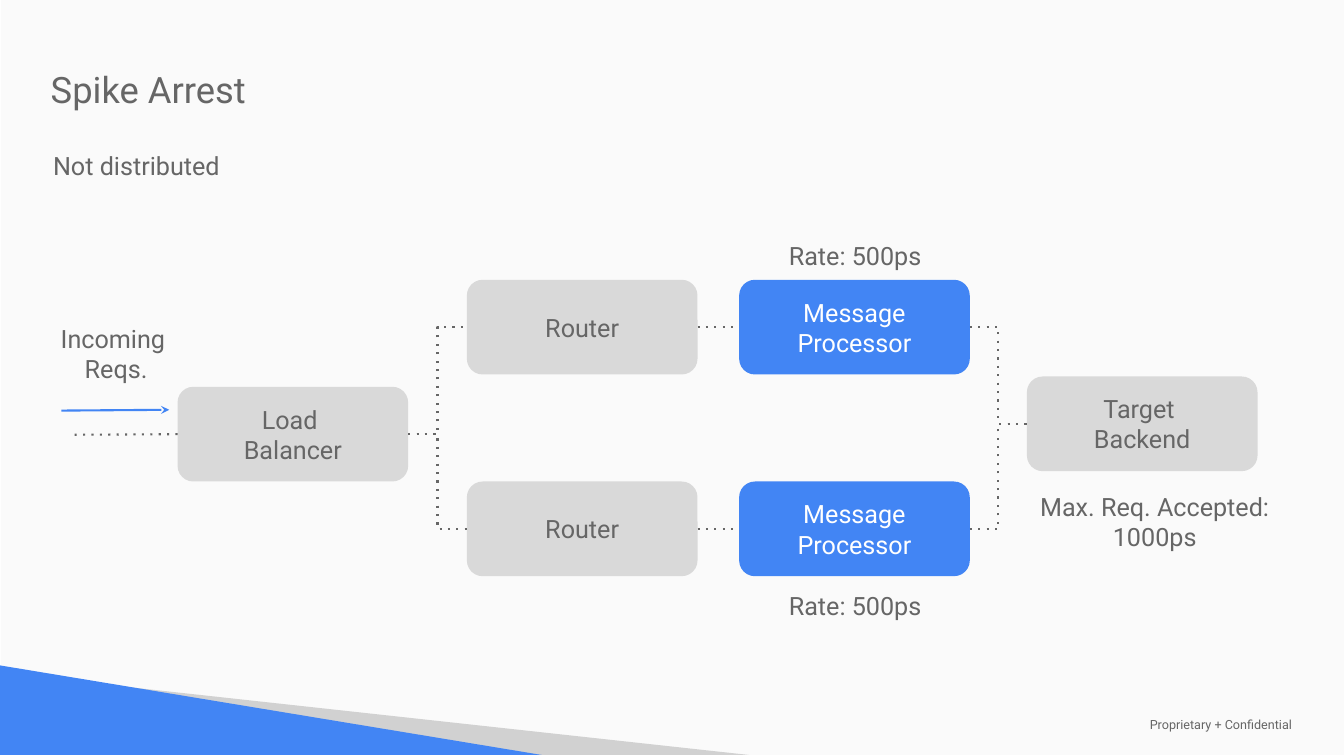
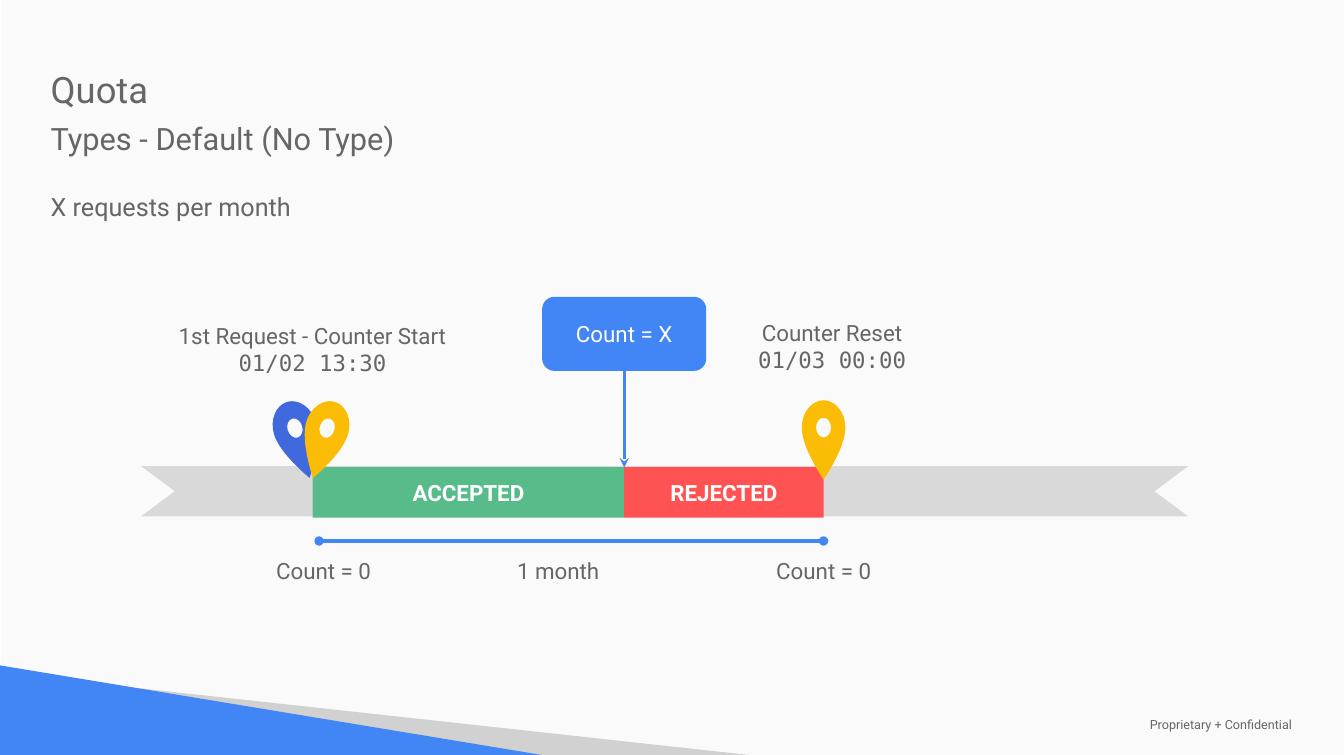
"""Build two slides on API traffic control: spike arrest and quota."""
from dataclasses import dataclass
from typing import Optional

import pptx
import pptx.dml.color
import pptx.enum.shapes
import pptx.enum.text
import pptx.shapes.autoshape
import pptx.shapes.connector
import pptx.slide
import pptx.text.text
import pptx.util
from lxml import etree
from pptx.oxml import ns

Cm = pptx.util.Cm
Pt = pptx.util.Pt
SHAPES = pptx.enum.shapes.MSO_SHAPE
CONNECTORS = pptx.enum.shapes.MSO_CONNECTOR
ALIGN = pptx.enum.text.PP_ALIGN
ANCHOR = pptx.enum.text.MSO_ANCHOR

COLORS = {
    "page": "FAFAFA",
    "text": "666666",
    "white": "FFFFFF",
    "blue": "4285F4",
    "shade": "D1D1D1",
    "grey": "D9D9D9",
    "red": "FF5252",
    "green": "57BB8A",
    "yellow": "FBBC05",
    "indigo": "4069DD",
}
FONT, MONO = "Roboto", "DejaVu Sans Mono"
WIDTH, HEIGHT = 33.91, 19.05
INSET = 0.25
TOP, LEFT, BOTTOM, RIGHT = range(4)

PIN_WIDTH, PIN_HEIGHT = 1.1, 2
PIN_BODY = [(0.55, 0), (0.25, 0), (0, 0.31), (0, 0.69), (0, 1.21), (0.55, 2), (0.55, 2),
            (0.55, 2), (1.1, 1.21), (1.1, 0.69), (1.1, 0.31), (0.85, 0), (0.55, 0)]
PIN_HOLE = [(0.55, 0.94), (0.45, 0.94), (0.36, 0.83), (0.36, 0.69), (0.36, 0.55), (0.45, 0.44),
            (0.55, 0.44), (0.65, 0.44), (0.74, 0.55), (0.74, 0.69), (0.74, 0.83), (0.65, 0.94),
            (0.55, 0.94)]


@dataclass(frozen=True)
class Box:
    x: float
    y: float
    w: float
    h: float

    def emu(self) -> tuple[int, int, int, int]:
        return Cm(self.x), Cm(self.y), Cm(self.w), Cm(self.h)


@dataclass(frozen=True)
class Label:
    text: str
    box: Box
    size: float = 18
    align: ALIGN = ALIGN.CENTER
    anchor: ANCHOR = ANCHOR.TOP


@dataclass(frozen=True)
class Block:
    text: str
    box: Box
    fill: str
    kind: SHAPES = SHAPES.ROUNDED_RECTANGLE
    size: float = 18
    color: str = "white"
    bold: bool = False


@dataclass(frozen=True)
class Pin:
    center: float
    fill: str
    rotation: float = 0


def rgb(name: str) -> pptx.dml.color.RGBColor:
    return pptx.dml.color.RGBColor.from_string(COLORS[name])


def style_text(frame: pptx.text.text.TextFrame, text: str, size: float, color: str = "text",
               align: ALIGN = ALIGN.LEFT, anchor: ANCHOR = ANCHOR.TOP, bold: bool = False) -> None:
    frame.text = text
    frame.word_wrap = True
    frame.auto_size = pptx.enum.text.MSO_AUTO_SIZE.NONE
    frame.vertical_anchor = anchor
    frame.margin_left = frame.margin_right = Cm(INSET)
    frame.margin_top = frame.margin_bottom = Cm(INSET)
    for paragraph in frame.paragraphs:
        paragraph.alignment = align
        for run in paragraph.runs:
            run.font.name = FONT
            run.font.size = Pt(size)
            run.font.bold = bold
            run.font.color.rgb = rgb(color)


def paint(shape: pptx.shapes.autoshape.Shape, fill: str) -> None:
    shape.shadow.inherit = False
    shape.fill.solid()
    shape.fill.fore_color.rgb = rgb(fill)
    shape.line.fill.background()


def add_label(slide: pptx.slide.Slide, label: Label) -> pptx.shapes.autoshape.Shape:
    shape = slide.shapes.add_textbox(*label.box.emu())
    style_text(shape.text_frame, label.text, label.size, align=label.align, anchor=label.anchor)
    return shape


def add_block(slide: pptx.slide.Slide, block: Block) -> pptx.shapes.autoshape.Shape:
    shape = slide.shapes.add_shape(block.kind, *block.box.emu())
    paint(shape, block.fill)
    if block.text:
        style_text(shape.text_frame, block.text, block.size, block.color,
                   ALIGN.CENTER, ANCHOR.MIDDLE, block.bold)
    return shape


def add_outline(slide: pptx.slide.Slide, corners: list[tuple[float, float]],
                fill: str) -> pptx.shapes.autoshape.Shape:
    points = [(Cm(x), Cm(y)) for x, y in corners]
    builder = slide.shapes.build_freeform(*points[0], scale=1.0)
    builder.add_line_segments(points[1:], close=True)
    shape = builder.convert_to_shape()
    paint(shape, fill)
    return shape


def add_line(slide: pptx.slide.Slide, start: tuple[float, float] = (0, 0),
             end: tuple[float, float] = (0, 0), color: str = "text", width: float = 1.5,
             kind: CONNECTORS = CONNECTORS.STRAIGHT, dotted: bool = False,
             head: Optional[str] = None,
             tail: Optional[str] = None) -> pptx.shapes.connector.Connector:
    line = slide.shapes.add_connector(kind, *(Cm(value) for value in (*start, *end)))
    line.line.color.rgb = rgb(color)
    line.line.width = Pt(width)
    outline = line.line._get_or_add_ln()
    if dotted:
        etree.SubElement(outline, ns.qn("a:prstDash"), val="dot")
    for tag, arrow in (("a:headEnd", head), ("a:tailEnd", tail)):
        if arrow:
            etree.SubElement(outline, ns.qn(tag), type=arrow)
    etree.SubElement(line.element.spPr, ns.qn("a:effectLst"))
    return line


def add_pin(slide: pptx.slide.Slide, pin: Pin) -> None:
    left, top = pin.center - PIN_WIDTH / 2, 10.1
    right, bottom = left + PIN_WIDTH, top + PIN_HEIGHT
    shape = add_outline(slide, [(left, top), (right, top), (right, bottom), (left, bottom)],
                        pin.fill)
    shape.rotation = pin.rotation
    contour = shape.element.find(".//" + ns.qn("a:path"))
    for segment in list(contour):
        contour.remove(segment)
    for points in (PIN_BODY, PIN_HOLE):
        segments = [("a:moveTo", points[:1])]
        segments += [("a:cubicBezTo", points[i:i + 3]) for i in range(1, len(points), 3)]
        for tag, stops in segments + [("a:close", [])]:
            segment = etree.SubElement(contour, ns.qn(tag))
            for x, y in stops:
                etree.SubElement(segment, ns.qn("a:pt"), x=str(int(Cm(x))), y=str(int(Cm(y))))


def set_title(slide: pptx.slide.Slide, text: str, height: float) -> None:
    title = slide.shapes.title
    title.left, title.top, title.width, title.height = Box(1.03, 1.45, 18.36, height).emu()
    style_text(title.text_frame, text, 26)
    for subtitle in title.text_frame.paragraphs[1:]:
        subtitle.space_before = Pt(6)
        subtitle.runs[0].font.size = Pt(22)


def furnish_layout(layout: pptx.slide.SlideLayout, slide: pptx.slide.Slide) -> None:
    shared = [
        add_block(slide, Block("", Box(0.02, 0, WIDTH, HEIGHT), "page", SHAPES.RECTANGLE)),
        add_outline(slide, [(2.9, 17.3), (18.9, HEIGHT), (13.61, HEIGHT)], "shade"),
        add_outline(slide, [(0, 16.79), (0, HEIGHT), (13.67, HEIGHT)], "blue"),
        add_label(slide, Label("Proprietary + Confidential", Box(28.76, 18.06, 5, 0.46), 9,
                               ALIGN.LEFT, ANCHOR.MIDDLE)),
    ]
    for number, shape in enumerate(shared, 101):
        shape.element.nvSpPr.cNvPr.set("id", str(number))
        layout.shapes.element.append(shape.element)


def build_spike_arrest(slide: pptx.slide.Slide) -> None:
    set_title(slide, "Spike Arrest", 2.11)
    add_label(slide, Label("Not distributed", Box(1.09, 3.55, 18.26, 1.52), align=ALIGN.LEFT))

    def node(text: str, x: float, y: float, fill: str = "grey",
             color: str = "text") -> pptx.shapes.autoshape.Shape:
        return add_block(slide, Block(text, Box(x, y, 5.82, 2.39), fill, color=color))

    def join(source: pptx.shapes.autoshape.Shape, target: pptx.shapes.autoshape.Shape,
             kind: CONNECTORS = CONNECTORS.ELBOW) -> None:
        link = add_line(slide, kind=kind, dotted=True)
        link.begin_connect(source, RIGHT)
        link.end_connect(target, LEFT)

    balancer = node("Load \nBalancer", 4.48, 9.76)
    backend = node("Target \nBackend", 25.91, 9.5)
    for row_top, rate_top in ((7.06, 5.7), (12.15, 14.55)):
        router = node("Router", 11.78, row_top)
        processor = node("Message Processor", 18.65, row_top, "blue", "white")
        join(balancer, router)
        join(router, processor, CONNECTORS.STRAIGHT)
        join(processor, backend)
        add_label(slide, Label("Rate: 500ps", Box(17.93, rate_top, 7.29, 1.47),
                               anchor=ANCHOR.MIDDLE))

    add_label(slide, Label("Max. Req. Accepted: 1000ps", Box(24.92, 12.14, 8.43, 2.03)))
    add_label(slide, Label("Incoming \nReqs.", Box(1.09, 7.91, 3.68, 2.03)))
    inflow = add_line(slide, end=(1.78, 10.97), dotted=True)
    inflow.begin_connect(balancer, LEFT)
    add_line(slide, (4.27, 10.34), (1.55, 10.36), "blue", head="stealth")


def build_quota(slide: pptx.slide.Slide) -> None:
    set_title(slide, "Quota\nTypes - Default (No Type)", 2.84)
    add_label(slide, Label("X requests per month", Box(1.03, 4.57, 16.46, 1.27),
                           align=ALIGN.LEFT))

    start, limit, reset = 7.89, 15.75, 20.78
    for x, width, rotation in ((3.56, 10.46, 0), (12.02, 17.96, 180)):
        ribbon = add_block(slide, Block("", Box(x, 11.76, width, 1.27), "grey", SHAPES.CHEVRON))
        ribbon.adjustments[0] = 0.67
        ribbon.rotation = rotation
    for text, left, right, fill in (("ACCEPTED", start, limit, "green"),
                                    ("REJECTED", limit, reset, "red")):
        add_block(slide, Block(text, Box(left, 11.79, right - left, 1.27), fill,
                               SHAPES.RECTANGLE, 16, bold=True))

    counter = add_block(slide, Block("Count = X", Box(limit - 2.07, 7.49, 4.14, 1.87), "blue",
                                     size=16))
    pointer = add_line(slide, end=(limit, 11.79), color="blue", width=2.25, tail="stealth")
    pointer.begin_connect(counter, BOTTOM)
    add_line(slide, (8.05, 13.65), (reset, 13.65), "blue", 2.25, head="oval", tail="oval")

    for text, box in (("1st Request - Counter Start\n01/02 13:30", Box(3.96, 7.88, 7.85, 1.88)),
                      ("Counter Reset\n01/03 00:00", Box(18.06, 7.8, 5.87, 2.01))):
        event = add_label(slide, Label(text, box, 16))
        event.text_frame.paragraphs[1].runs[0].font.name = MONO
    for text, x, width in (("Count = 0", 6.36, 3.61), ("1 month", 11.43, 5.31),
                           ("Count = 0", 18.98, 3.61)):
        add_label(slide, Label(text, Box(x, 13.64, width, 1.52), 16, anchor=ANCHOR.MIDDLE))
    for pin in (Pin(reset, "yellow"), Pin(7.53, "indigo", 343.5), Pin(8.17, "yellow", 15.9)):
        add_pin(slide, pin)


def main() -> None:
    deck = pptx.Presentation()
    deck.slide_width, deck.slide_height = Cm(WIDTH), Cm(HEIGHT)
    title_only = deck.slide_layouts[5]
    spike_arrest, quota = (deck.slides.add_slide(title_only) for _ in range(2))
    furnish_layout(title_only, spike_arrest)
    build_spike_arrest(spike_arrest)
    build_quota(quota)
    deck.save("out.pptx")


if __name__ == "__main__":
    main()
